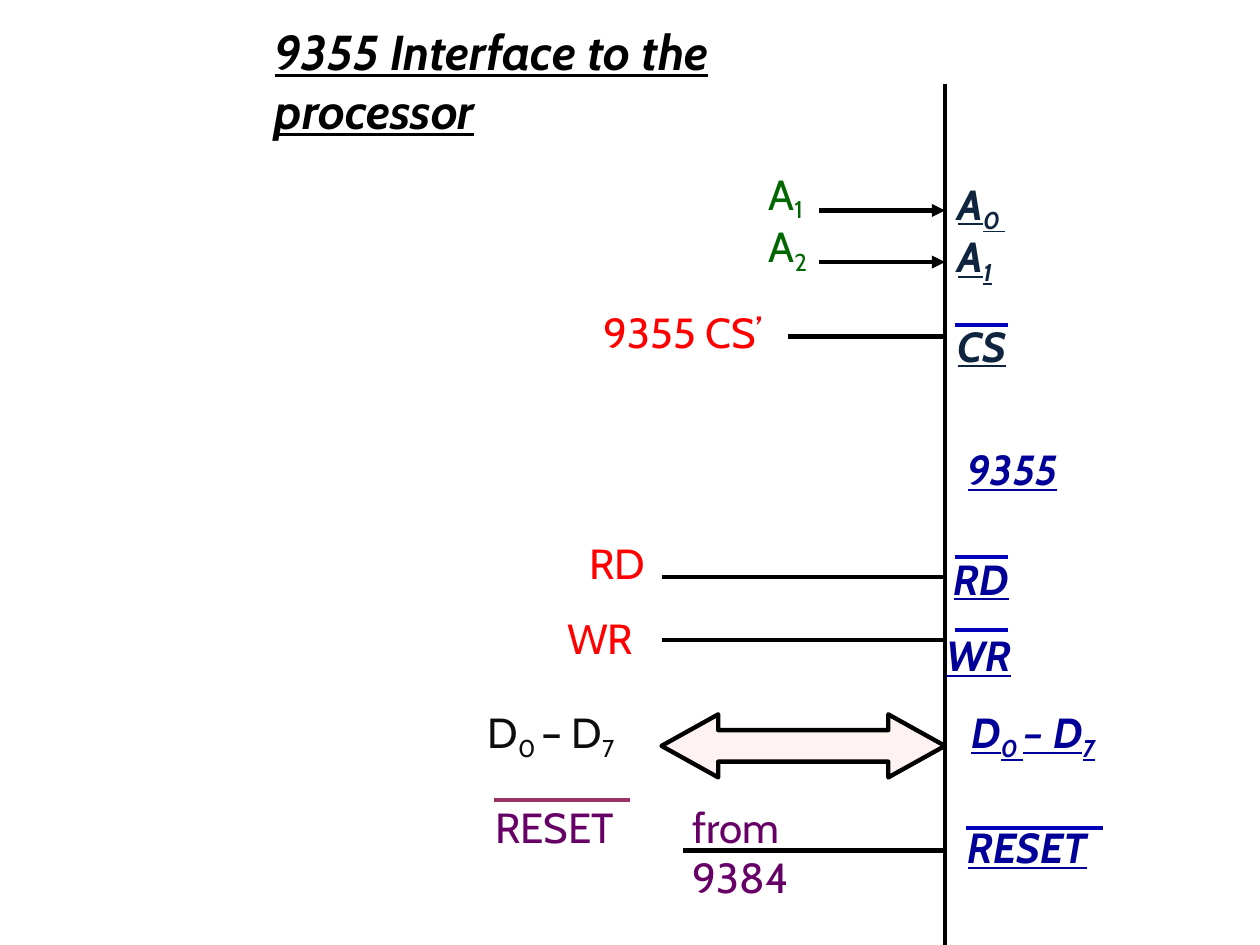
from dataclasses import dataclass

import pptx
import pptx.dml.color
import pptx.enum.shapes
import pptx.enum.text
import pptx.oxml
import pptx.oxml.ns
import pptx.util

Inches = pptx.util.Inches
Pt = pptx.util.Pt
RGBColor = pptx.dml.color.RGBColor

BLACK = RGBColor(0x00, 0x00, 0x00)
NAVY = RGBColor(0x0F, 0x24, 0x3E)
BLUE = RGBColor(0x00, 0x00, 0x99)
BAR_BLUE = RGBColor(0x00, 0x00, 0xBB)
RED = RGBColor(0xFF, 0x00, 0x00)
GREEN = RGBColor(0x00, 0x66, 0x00)
PURPLE = RGBColor(0x66, 0x00, 0x66)
PLUM = RGBColor(0x99, 0x33, 0x66)
CHARCOAL = RGBColor(0x0D, 0x0D, 0x0D)

FONT = "Cabin"
CHIP_EDGE = 7.5
PIN_STYLE = {"bold": True, "italic": True, "underline": True}
FRAME_FORMAT = {
    "word_wrap": True,
    "auto_size": pptx.enum.text.MSO_AUTO_SIZE.NONE,
    "vertical_anchor": pptx.enum.text.MSO_ANCHOR.TOP,
    "margin_left": 0,
    "margin_top": Inches(0.01),
    "margin_right": 0,
    "margin_bottom": 0,
}


@dataclass
class Line:
    """One paragraph; underscores switch subscript on and off."""
    text: str
    color: RGBColor
    indent: float = 0.01
    before: float = 1
    spacing: float | None = None


@dataclass
class Label:
    left: float
    top: float
    width: float
    height: float
    lines: list[Line]
    pin: bool = False


@dataclass
class Wire:
    start: tuple[float, float]
    end: tuple[float, float]
    color: RGBColor = BLACK
    arrow: bool = False


def add_xml(parent, tag: str, attributes: str = "") -> None:
    namespace = pptx.oxml.ns.nsdecls("a")
    parent.append(pptx.oxml.parse_xml(f"<a:{tag} {namespace} {attributes}/>"))


def apply_format(target, values: dict) -> None:
    for name, value in values.items():
        setattr(target, name, value)


def write_lines(frame, lines: list[Line], size: float, style: dict) -> None:
    apply_format(frame, FRAME_FORMAT)
    for number, line in enumerate(lines):
        para = frame.add_paragraph() if number else frame.paragraphs[0]
        apply_format(para, {
            "alignment": pptx.enum.text.PP_ALIGN.LEFT,
            "space_before": Pt(line.before),
            "line_spacing": Pt(line.spacing) if line.spacing else None,
        })
        properties = para._p.get_or_add_pPr()
        properties.set("marL", str(Inches(line.indent)))
        properties.set("indent", "0")
        for position, text in enumerate(line.text.split("_")):
            span = para.add_run()
            span.text = text
            apply_format(span.font, {"name": FONT, "size": Pt(size), **style})
            span.font.color.rgb = line.color
            if position % 2:
                span._r.get_or_add_rPr().set("baseline", "-21000")


def draw_label(page, label: Label) -> None:
    area = map(Inches, (label.left, label.top, label.width, label.height))
    box = page.shapes.add_textbox(*area)
    write_lines(box.text_frame, label.lines, 24, PIN_STYLE if label.pin else {})


def draw_wire(page, wire: Wire) -> None:
    ends = map(Inches, (*wire.start, *wire.end))
    connector = page.shapes.add_connector(
        pptx.enum.shapes.MSO_CONNECTOR.STRAIGHT, *ends)
    connector.line.color.rgb = wire.color
    connector.line.width = Pt(2.5)
    if wire.arrow:
        add_xml(connector.line._get_or_add_ln(), "tailEnd", 'type="triangle"')
    add_xml(connector._element.spPr, "effectLst")


def signal(left: float, y: float, arrow: bool = False) -> Wire:
    return Wire((left, y), (CHIP_EDGE, y), arrow=arrow)


def overbar(left: float, y: float, width: float = 0.42,
            color: RGBColor = BAR_BLUE) -> Wire:
    return Wire((left, y), (left + width, y), color)


WIRES = [
    Wire((CHIP_EDGE, 0.67), (CHIP_EDGE, 7.5)),
    signal(6.5, 1.67, arrow=True),
    signal(6.5, 2.08, arrow=True),
    signal(6.25, 2.67),
    signal(5.25, 4.58),
    signal(5.25, 5.08),
    signal(5.42, 6.75),
    overbar(7.58, 2.58),
    overbar(7.58, 4.42),
    overbar(7.58, 5),
    overbar(7.67, 6.57, 1.08),
    overbar(3.92, 6.35, 1.08, PLUM),
]

LABELS = [
    # Pins of the chip
    Label(7.67, 3.51, 0.88, 0.42, [Line("9355", BLUE)], pin=True),
    Label(7.56, 1.43, 0.69, 0.86, [
        Line("A_0 ", NAVY, 0.04, spacing=30),
        Line("A_1", NAVY, 0.04, 0, spacing=30),
    ], pin=True),
    Label(7.59, 2.53, 0.58, 0.42, [Line("CS", NAVY)], pin=True),
    Label(7.56, 4.38, 0.83, 0.43, [Line("RD", BLUE)], pin=True),
    Label(7.5, 4.99, 0.66, 0.43, [Line("WR", BLUE)], pin=True),
    Label(7.67, 5.6, 1.25, 0.43, [Line("D_0 _– D_7", BLUE, 0.04)], pin=True),
    Label(7.67, 6.51, 1.25, 0.43, [Line("RESET", BLUE)], pin=True),
    # Processor signals
    Label(4.67, 4.26, 0.51, 0.43, [Line("RD", RED)]),
    Label(4.42, 4.85, 0.71, 0.43, [Line("WR", RED, 0.08)]),
    Label(3.83, 5.6, 1.34, 0.43, [Line("D_0 _– D_7", CHARCOAL, 0.04)]),
    Label(3.92, 6.35, 1.27, 0.43, [Line("RESET", PURPLE)]),
    Label(5.49, 6.35, 1.43, 0.43, [Line("from 9384", PURPLE)]),
    Label(4.75, 1.35, 1.7, 1.5, [
        Line("A_1", GREEN, 1.35, spacing=30),
        Line("A_2", GREEN, 1.35, 0, spacing=30),
        Line("9355 CS’", RED, 0.04, 17.3),
    ]),
]

deck = pptx.Presentation()
deck.slide_width, deck.slide_height = Inches(10), Inches(7.5)
page = deck.slides.add_slide(deck.slide_layouts[5])

# Title
title = page.shapes.title
apply_format(title, {"left": Inches(2.17), "top": Inches(0.16),
                     "width": Inches(5), "height": Inches(0.49)})
write_lines(title.text_frame,
            [Line("9355 Interface to the processor", BLACK)], 28, PIN_STYLE)

# Wires and overbars
for wire in WIRES:
    draw_wire(page, wire)

# Data bus
bus = page.shapes.add_shape(
    pptx.enum.shapes.MSO_SHAPE.LEFT_RIGHT_ARROW,
    Inches(5.25), Inches(5.67), Inches(2.25), Inches(0.5))
bus.adjustments[0], bus.adjustments[1] = 0.5, 0.9
bus.shadow.inherit = False
bus.fill.solid()
bus.fill.fore_color.rgb = RED
color_node = bus._element.spPr.find(".//" + pptx.oxml.ns.qn("a:srgbClr"))
add_xml(color_node, "alpha", 'val="5000"')
bus.line.color.rgb = BLACK
bus.line.width = Pt(2.5)

# Signal names
for label in LABELS:
    draw_label(page, label)

deck.save("out.pptx")
